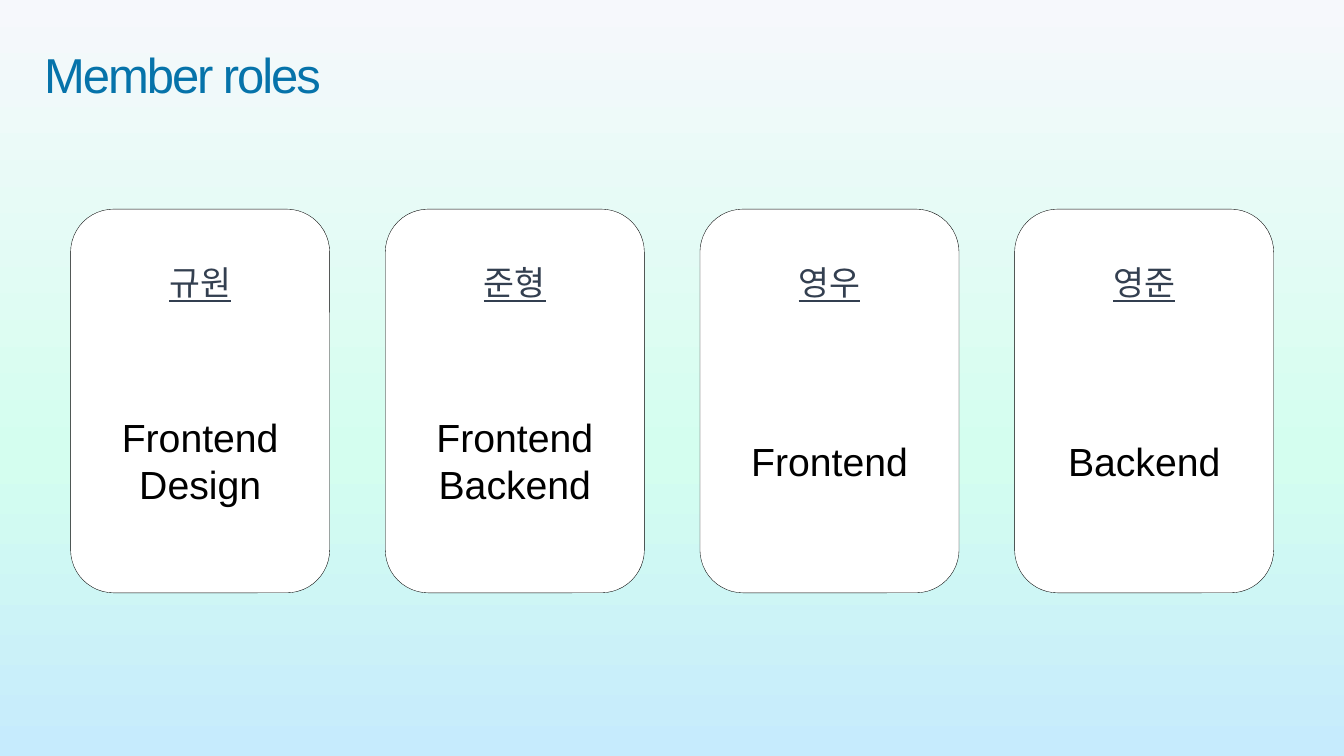
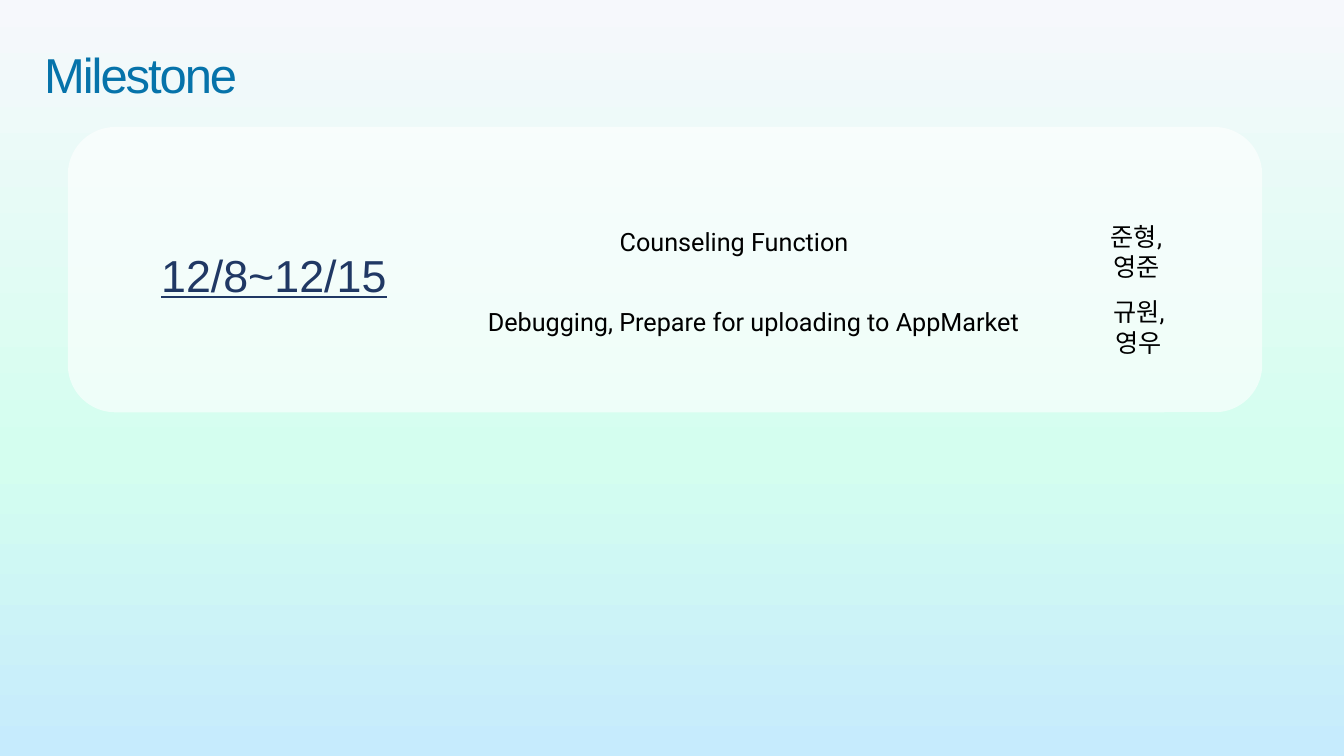
from copy import deepcopy
from dataclasses import dataclass

from lxml import etree
from pptx import Presentation
from pptx.dml.color import RGBColor
from pptx.enum.shapes import MSO_SHAPE
from pptx.enum.text import MSO_ANCHOR, MSO_AUTO_SIZE, PP_ALIGN
from pptx.oxml.ns import qn
from pptx.presentation import Presentation as PresentationType
from pptx.shapes.autoshape import Shape
from pptx.slide import Slide
from pptx.util import Cm, Pt

RECTANGLE, ROUNDED = MSO_SHAPE.RECTANGLE, MSO_SHAPE.ROUNDED_RECTANGLE
TOP, MIDDLE = MSO_ANCHOR.TOP, MSO_ANCHOR.MIDDLE
LEFT, CENTER = PP_ALIGN.LEFT, PP_ALIGN.CENTER
NO_AUTOFIT = MSO_AUTO_SIZE.NONE
TITLE_ONLY = 5
BACKDROP_ID = "20"

COLORS = {
    "title": "0673AA",
    "name": "333F50",
    "date": "203864",
    "text": "000000",
    "card": "FFFFFF",
    "outline": "000000",
}
BACKDROP_STOPS = [(0, "F6F8FC"), (0.6, "D4FEEF"), (1, "C6EBFD")]
HEADING_FONT, TASK_FONT = "Arial", "Roboto"


@dataclass(frozen=True)
class Box:
    left: float
    top: float
    width: float
    height: float

    def lengths(self) -> tuple[Cm, Cm, Cm, Cm]:
        return Cm(self.left), Cm(self.top), Cm(self.width), Cm(self.height)


@dataclass(frozen=True)
class Member:
    name: str
    roles: str


@dataclass(frozen=True)
class Task:
    text: str
    text_box: Box
    owners: str
    owners_box: Box


SLIDE_BOX = Box(0, 0, 33.87, 19.05)
TITLE_BOX = Box(0.86, 0.25, 12.4, 2.31)
CARD_LEFT, CARD_TOP, CARD_WIDTH, CARD_HEIGHT = 1.78, 5.27, 6.53, 9.67
CARD_PITCH = 7.93

MEMBERS = [
    Member("규원", "Frontend\nDesign"),
    Member("준형", "Frontend\nBackend"),
    Member("영우", "Frontend"),
    Member("영준", "Backend"),
]
TASKS = [
    Task("Counseling Function", Box(10.03, 5.19, 16.94, 1.32),
         "준형, 영준", Box(27.24, 5.44, 2.8, 1.9)),
    Task("Debugging, Prepare for uploading to AppMarket", Box(10.52, 7.21, 16.94, 1.32),
         "규원, 영우", Box(27.3, 7.35, 2.8, 1.9)),
]


def color(key: str) -> RGBColor:
    return RGBColor.from_string(COLORS[key])


def write_text(shape: Shape, text: str, *, size: float, color_key: str,
               font: str = HEADING_FONT, align: PP_ALIGN = CENTER,
               anchor: MSO_ANCHOR = TOP, underline: bool = False,
               line_spacing: float = 1.0, tracking: float = 0) -> None:
    frame = shape.text_frame
    frame.text = text
    frame.word_wrap = True
    frame.auto_size = NO_AUTOFIT
    frame.vertical_anchor = anchor
    for paragraph in frame.paragraphs:
        paragraph.alignment = align
        paragraph.line_spacing = line_spacing
        for run in paragraph.runs:
            run.font.name = font
            run.font.size = Pt(size)
            run.font.color.rgb = color(color_key)
            if underline:
                run.font.underline = True
            if tracking:
                run.font._element.set("spc", str(round(tracking * 100)))


def add_panel(shapes, box: Box, *, preset: MSO_SHAPE = ROUNDED, opacity: float = 1.0,
              outline_width: float = 0) -> Shape:
    panel = shapes.add_shape(preset, *box.lengths())
    panel.shadow.inherit = False
    if opacity == 0:
        panel.fill.background()
    else:
        panel.fill.solid()
        panel.fill.fore_color.rgb = color("card")
    if 0 < opacity < 1:
        fill_color = panel._element.spPr.find(f"{qn('a:solidFill')}/{qn('a:srgbClr')}")
        etree.SubElement(fill_color, qn("a:alpha")).set("val", str(round(opacity * 100000)))
    if outline_width:
        panel.line.color.rgb = color("outline")
        panel.line.width = Pt(outline_width)
    else:
        panel.line.fill.background()
    return panel


def move_backdrop_to_master(presentation: PresentationType, slide: Slide) -> None:
    backdrop = add_panel(slide.shapes, SLIDE_BOX, preset=RECTANGLE)
    fill = backdrop.fill
    fill.gradient()
    fill.gradient_angle = 270
    stop_list = backdrop._element.find(f".//{qn('a:gsLst')}")
    stop_list.append(deepcopy(stop_list[-1]))
    for stop, (position, hex_color) in zip(fill.gradient_stops, BACKDROP_STOPS):
        stop.position = position
        stop.color.rgb = RGBColor.from_string(hex_color)
    backdrop._element.nvSpPr.cNvPr.set("id", BACKDROP_ID)
    presentation.slide_master.shapes._spTree.insert(2, backdrop._element)


def add_titled_slide(presentation: PresentationType, text: str) -> Slide:
    slide = presentation.slides.add_slide(presentation.slide_layouts[TITLE_ONLY])
    title = slide.shapes.title
    title.left, title.top, title.width, title.height = TITLE_BOX.lengths()
    write_text(title, text, size=35, color_key="title", align=LEFT,
               line_spacing=1.5, tracking=-1.5)
    return slide


def add_member_card(slide: Slide, member: Member, left: float) -> None:
    shapes = slide.shapes.add_group_shape().shapes
    add_panel(shapes, Box(left, CARD_TOP, CARD_WIDTH, CARD_HEIGHT), outline_width=0.25)
    name = shapes.add_textbox(*Box(left, 6.48, CARD_WIDTH, 1.3).lengths())
    write_text(name, member.name, size=24, color_key="name", underline=True)
    roles = shapes.add_textbox(*Box(left, 10.29, CARD_WIDTH, 2.64).lengths())
    write_text(roles, member.roles, size=28, color_key="text", anchor=MIDDLE)


def build_member_roles(presentation: PresentationType) -> Slide:
    slide = add_titled_slide(presentation, "Member roles")
    for index, member in enumerate(MEMBERS):
        add_member_card(slide, member, CARD_LEFT + index * CARD_PITCH)
    return slide


def build_milestone(presentation: PresentationType) -> None:
    slide = add_titled_slide(presentation, "Milestone")
    add_panel(slide.shapes, Box(1.71, 3.2, 30.1, 7.19), opacity=0.6)
    date = add_panel(slide.shapes, Box(2.55, 5.45, 8.71, 2.92), opacity=0)
    write_text(date, "12/8~12/15", size=32, color_key="date", anchor=MIDDLE, underline=True)
    for task in TASKS:
        text_box = slide.shapes.add_textbox(*task.text_box.lengths())
        write_text(text_box, task.text, size=18, color_key="text", font=TASK_FONT,
                   line_spacing=1.5)
        owners_box = slide.shapes.add_textbox(*task.owners_box.lengths())
        write_text(owners_box, task.owners, size=18, color_key="text", font=TASK_FONT)


def main() -> None:
    presentation = Presentation()
    presentation.slide_width, presentation.slide_height = SLIDE_BOX.lengths()[2:]
    roles_slide = build_member_roles(presentation)
    move_backdrop_to_master(presentation, roles_slide)
    build_milestone(presentation)
    presentation.save("out.pptx")


if __name__ == "__main__":
    main()
